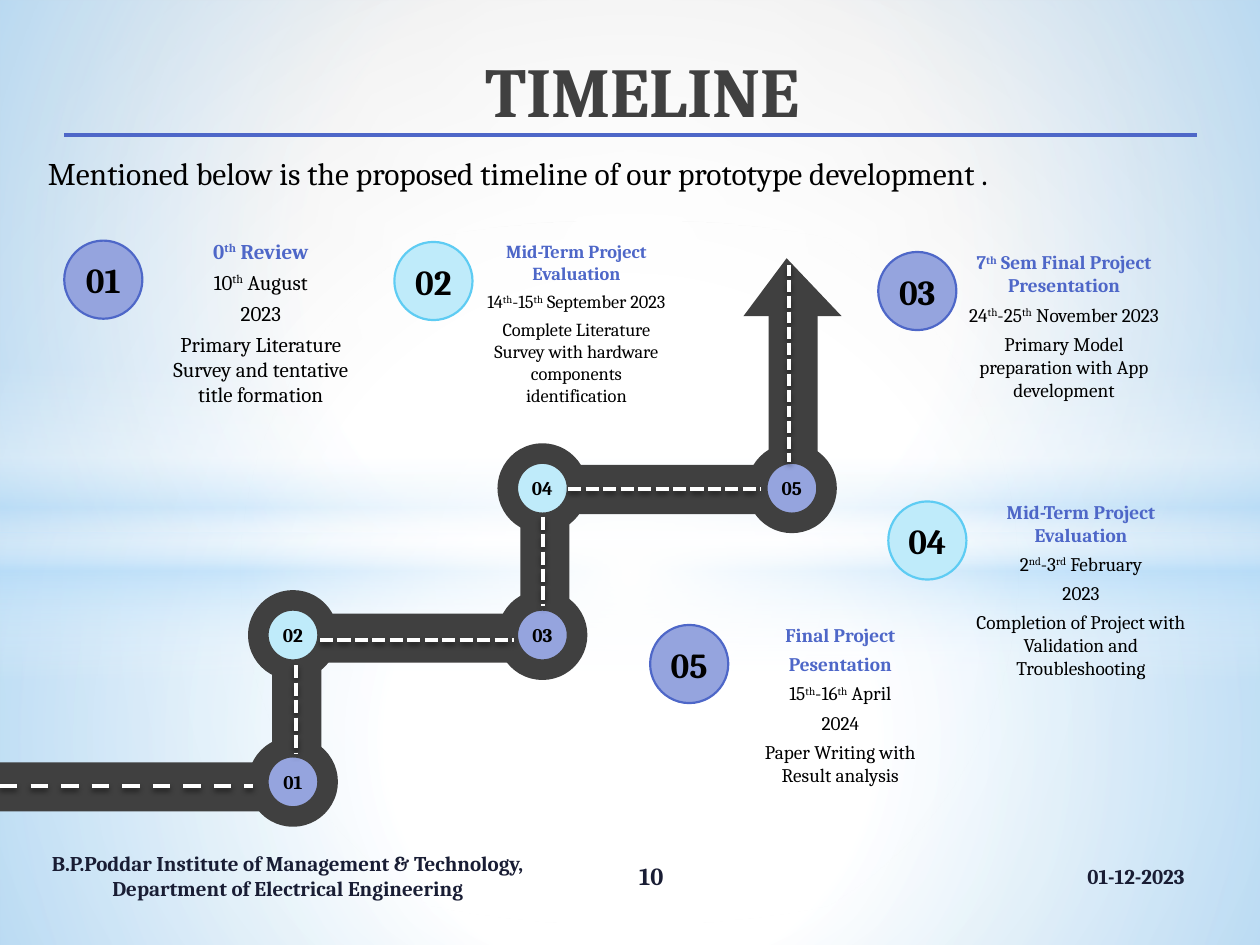
import dataclasses
import pptx
import pptx.dml.color
import pptx.enum.dml
import pptx.enum.shapes
import pptx.enum.text
import pptx.oxml
import pptx.oxml.ns
import pptx.util

COLS, ROWS = 100, 75
DARK, BLACK, WHITE, BLUE, NAVY, SKY = "404040", "000000", "FFFFFF", "4E67C8", "191D34", "B4DCFA"
ACCENTS = [("BFEBFA", "5ECCF3"), ("95A4DE", BLUE)]
ROAD, RUN, PITCH_X, PITCH_Y = 3.9, 15.7, 19.7, 11.8
SHAPE = pptx.enum.shapes.MSO_SHAPE
DASH = pptx.enum.dml.MSO_LINE
ALIGN = pptx.enum.text.PP_ALIGN
ANCHOR = pptx.enum.text.MSO_ANCHOR
AUTO = pptx.enum.text.MSO_AUTO_SIZE
MIDDLE = {"vertical_anchor": ANCHOR.MIDDLE, "word_wrap": True}
NO_INSETS = dict.fromkeys(["margin_left", "margin_top", "margin_right", "margin_bottom"], 0)
NS = pptx.oxml.ns.nsdecls("a")

prs = pptx.Presentation()
prs.slide_width, prs.slide_height = pptx.util.Inches(10), pptx.util.Inches(7.5)
s = prs.slides.add_slide(prs.slide_layouts[1])


@dataclasses.dataclass
class Box:
    col: float
    row: float
    cols: float
    rows: float

    def emu(self) -> tuple:
        return x(self.col), y(self.row), x(self.cols), y(self.rows)


@dataclasses.dataclass
class Card:
    number: int
    circle: tuple
    box: Box
    size: float
    heads: list
    lines: list


@dataclasses.dataclass
class Dash:
    start: tuple
    end: tuple
    width: float = 2.5
    style: object = DASH.SQUARE_DOT


def x(cols: float) -> int:
    return int(prs.slide_width * cols / COLS)


def y(rows: float) -> int:
    return int(prs.slide_height * rows / ROWS)


def rgb(value: str) -> pptx.dml.color.RGBColor:
    return pptx.dml.color.RGBColor.from_string(value)


def apply(target, formats: dict) -> None:
    for name, value in formats.items():
        setattr(target, name, value)


def gradient(parent, stops: list, focus: tuple = ()) -> None:
    gs = "".join(
        f'<a:gs pos="{pos * 1000}"><a:srgbClr val="{color}"><a:alpha val="{alpha * 1000}"/></a:srgbClr></a:gs>'
        for pos, color, alpha in stops)
    shade = '<a:lin ang="5400000" scaled="0"/>'
    if focus:
        l, t, r, b = (v * 1000 for v in focus)
        shade = f'<a:path path="circle"><a:fillToRect l="{l}" t="{t}" r="{r}" b="{b}"/></a:path>'
    xml = f'<a:gradFill {NS} rotWithShape="1"><a:gsLst>{gs}</a:gsLst>{shade}</a:gradFill>'
    parent.replace(parent.find(pptx.oxml.ns.qn("a:solidFill")), pptx.oxml.parse_xml(xml))


def shape(kind, box: Box, fill: str, line: str = "", width: float = 0):
    sp = s.shapes.add_shape(kind, *box.emu())
    sp.shadow.inherit = False
    sp.fill.solid()
    sp.fill.fore_color.rgb = rgb(fill)
    if line:
        sp.line.color.rgb = rgb(line)
        sp.line.width = pptx.util.Pt(width)
    else:
        sp.line.fill.background()
    return sp


def write(p, text: str, size: float, color: str, bold: bool, align=ALIGN.CENTER) -> None:
    p.alignment = align
    for i, part in enumerate(text.split("^")):
        r = p.add_run()
        r.text = part
        apply(r.font, {"name": "Cambria", "size": pptx.util.Pt(size), "bold": bold})
        r.font.color.rgb = rgb(color)
        if i % 2:
            r._r.get_or_add_rPr().set("baseline", "30000")


def textbox(box: Box, formats: dict):
    tf = s.shapes.add_textbox(*box.emu()).text_frame
    apply(tf, formats)
    return tf


def disc(box: Box, number: int, fill: str, line: str, width: float, size: float) -> None:
    tf = shape(SHAPE.OVAL, box, fill, line, width).text_frame
    apply(tf, MIDDLE | NO_INSETS | {"word_wrap": False})
    write(tf.paragraphs[0], f"{number:02}", size, BLACK, True)


def card(c: Card) -> None:
    tf = textbox(c.box, {"word_wrap": True, "auto_size": AUTO.SHAPE_TO_FIT_TEXT})
    for i, text in enumerate(c.heads + c.lines):
        head = i < len(c.heads)
        p = tf.add_paragraph() if i else tf.paragraphs[0]
        if i:
            p.space_before = pptx.util.Pt(3.4)
        write(p, text, c.size, BLUE if head else BLACK, head)
    disc(Box(*c.circle, 6.2, 6.2), c.number, *ACCENTS[c.number % 2], 1.25, 20)


def line(d: Dash, color: str, shadow: str = "") -> None:
    cx = s.shapes.add_connector(pptx.enum.shapes.MSO_CONNECTOR.STRAIGHT,
                                x(d.start[0]), y(d.start[1]), x(d.end[0]), y(d.end[1]))
    cx.line.color.rgb = rgb(color)
    apply(cx.line, {"width": pptx.util.Pt(d.width), "dash_style": d.style})
    cx._element.spPr.append(pptx.oxml.parse_xml(f"<a:effectLst {NS}>{shadow}</a:effectLst>"))


def placeholder(sp, box: Box, formats: dict):
    apply(sp, dict(zip(["left", "top", "width", "height"], box.emu())))
    apply(sp.text_frame, formats | {"auto_size": AUTO.NONE})
    return sp.text_frame.paragraphs[0]


s.background.fill.solid()
gradient(s._element.xpath(".//p:bgPr")[0],
         [(0, WHITE, 100), (42, WHITE, 100), (100, "D1D1D1", 100)], (24, 44, 24, 12))
CENTER = (50, 50, 50, 50)
backdrops = [
    (SHAPE.RECTANGLE, Box(0, 42.3, 100, 32.7), [(0, WHITE, 91), (37, WHITE, 76), (100, SKY, 79)], CENTER),
    (SHAPE.RECTANGLE, Box(0, 0, 100, 42.3), [(0, WHITE, 89), (48, WHITE, 62), (100, SKY, 79)], CENTER),
    (SHAPE.RECTANGLE, Box(0, 29, 100, 25),
     [(0, WHITE, 0), (29, WHITE, 30), (45, SKY, 40), (55, WHITE, 26), (65, SKY, 60), (100, WHITE, 0)], ()),
    (SHAPE.OVAL, Box(0, 17.5, 100, 55.8), [(0, WHITE, 100), (54, WHITE, 0)], CENTER),
]
for i, (kind, box, stops, focus) in enumerate(backdrops):
    sp = shape(kind, box, WHITE)
    gradient(sp._element.spPr, stops, focus)
    s.shapes._spTree.insert(2 + i, sp._element)

p = placeholder(s.shapes.title, Box(0, 3.3, 100, 6.2), {"vertical_anchor": ANCHOR.TOP, "word_wrap": True})
p._p.get_or_add_pPr().set("marL", str(x(2)))
write(p, "TIMELINE", 40, DARK, True)
p = placeholder(s.placeholders[1], Box(2.8, 12.1, 94.9, 3.3), MIDDLE)
pPr = p._p.get_or_add_pPr()
pPr.set("marL", "0")
pPr.set("indent", "0")
pPr.append(pptx.oxml.parse_xml(f"<a:buNone {NS}/>"))
p.space_before = pptx.util.Pt(0)
write(p, "Mentioned below is the proposed timeline of our prototype development .", 18, BLACK, False, ALIGN.LEFT)

for box, text, size, align in [
    (Box(67.5, 67.5, 27.5, 4), "01-12-2023", 12, ALIGN.RIGHT),
    (Box(1.2, 67.5, 43.3, 4),
     "B.P.Poddar Institute of Management & Technology, Department of Electrical Engineering", 12, ALIGN.CENTER),
    (Box(41.7, 67.5, 20, 4), "10", 14, ALIGN.CENTER),
]:
    write(textbox(box, MIDDLE).paragraphs[0], text, size, NAVY, True, align)

road = [Box(-0.1, 60.5, 25.6, ROAD)]
road += [Box(21.6 + PITCH_X * i, 48.7 - PITCH_Y * i, ROAD, RUN) for i in range(3)]
road += [Box(25.5 + PITCH_X * i, 48.7 - PITCH_Y * i, RUN, ROAD) for i in range(2)]
for box in road:
    shape(SHAPE.RECTANGLE, box, DARK)
shape(SHAPE.ISOSCELES_TRIANGLE, Box(59, 20.5, 7.8, 4.6), DARK).adjustments[0] = 0.44

for i in range(5):
    stop = Box(20.5 + 19.8 * (i // 2), 59.3 - 11.65 * ((i + 1) // 2), 5.5, 5.5)
    disc(stop, i + 1, ACCENTS[(i + 1) % 2][0], DARK, 11.75, 11)

for c in [
    Card(1, (5.1, 19.1), Box(11.3, 18.4, 18.8, 16.1), 12, ["0^th^ Review"],
         ["10^th^ August", "2023", "Primary Literature Survey and tentative title formation"]),
    Card(2, (31.3, 19.2), Box(37.5, 18.6, 16.5, 17.3), 10.5, ["Mid-Term Project Evaluation"],
         ["14^th^-15^th^ September 2023", "Complete Literature Survey with hardware components identification"]),
    Card(3, (69.7, 20), Box(75.5, 19.4, 17.9, 16.3), 11, ["7^th^ Sem Final Project Presentation"],
         ["24^th^-25^th^ November 2023", "Primary Model preparation with App development"]),
    Card(4, (70.5, 39.8), Box(76.1, 39.2, 19.4, 16.7), 11, ["Mid-Term Project Evaluation"],
         ["2^nd^-3^rd^ February", "2023", "Completion of Project with Validation and Troubleshooting"]),
    Card(5, (51.6, 49.6), Box(58.7, 49, 16, 15.3), 11, ["Final Project", "Pesentation"],
         ["15^th^-16^th^ April", "2024", "Paper Writing with Result analysis"]),
]:
    card(c)

glow = ('<a:outerShdw blurRad="39370" dist="22860" dir="5400000" rotWithShape="0">'
        '<a:srgbClr val="000000"><a:alpha val="45000"/></a:srgbClr></a:outerShdw>')
for d in [
    Dash((0, 62.4), (20.1, 62.4), style=DASH.DASH),
    Dash((25.4, 50.8), (40.8, 50.8)),
    Dash((45.1, 38.8), (60.4, 38.8)),
    Dash((23.5, 52.8), (23.5, 59.8)),
    Dash((43.1, 41), (43.1, 48.1)),
    Dash((62.6, 21), (62.6, 36.7), 2.25),
]:
    line(d, WHITE, glow)
line(Dash((5.1, 10.7), (95, 10.7), 2.25, DASH.SOLID), BLUE)

prs.save("out.pptx")
